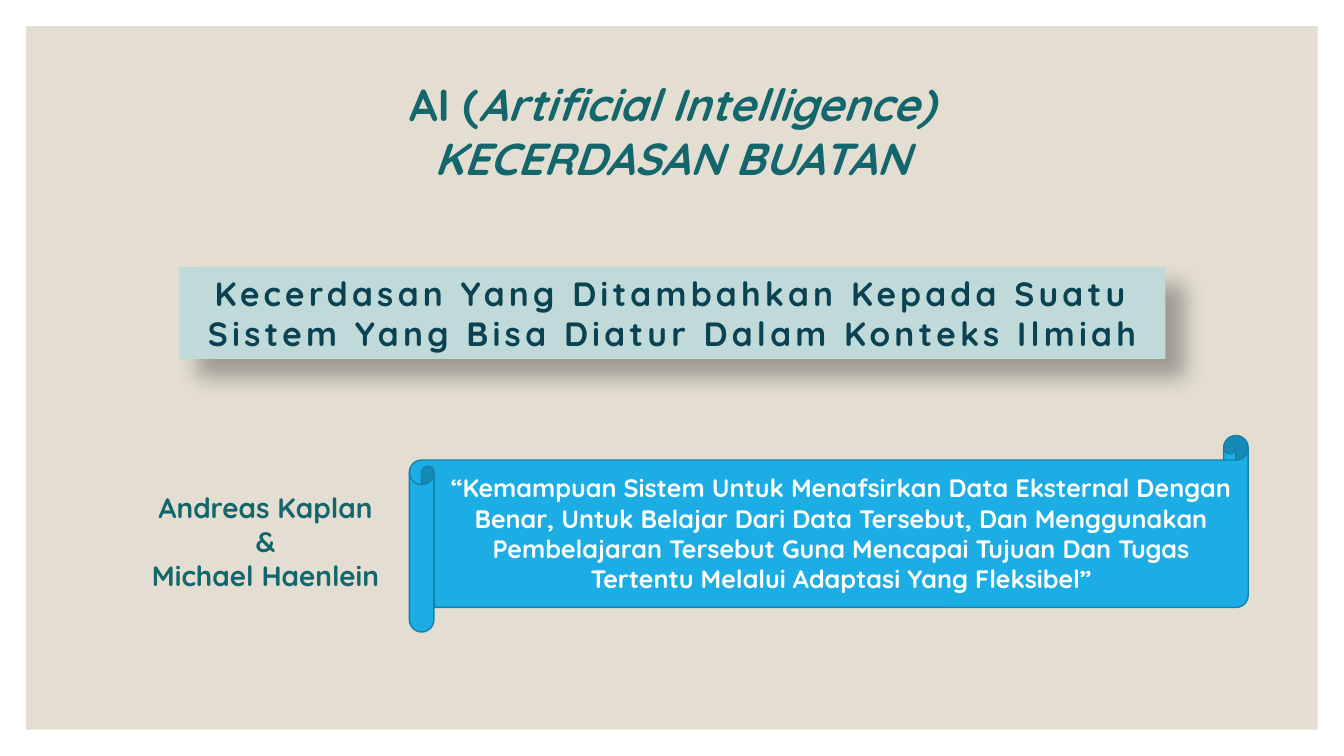
from dataclasses import dataclass

from lxml import etree
from pptx import Presentation
from pptx.dml.color import RGBColor
from pptx.enum.shapes import MSO_SHAPE
from pptx.enum.text import MSO_ANCHOR, PP_ALIGN
from pptx.oxml.ns import qn
from pptx.util import Inches, Pt

RECTANGLE = MSO_SHAPE.RECTANGLE
SCROLL = MSO_SHAPE.HORIZONTAL_SCROLL
TOP, MIDDLE = MSO_ANCHOR.TOP, MSO_ANCHOR.MIDDLE
CENTER = PP_ALIGN.CENTER
TITLE_ONLY_LAYOUT = 5
SLIDE_WIDTH, SLIDE_HEIGHT = 13.33, 7.5
MARGIN = 0.26


@dataclass(frozen=True)
class Theme:
    """Colours, font and type sizes of the slide."""
    font: str = "Quicksand"
    panel: str = "E3DED1"
    banner: str = "C0DAD9"
    banner_text: str = "0A4252"
    heading: str = "13676C"
    scroll: str = "1CADE4"
    scroll_line: str = "1580A9"
    white: str = "FFFFFF"
    title_size: int = 32
    banner_size: int = 24
    author_size: int = 20
    quote_size: int = 18


THEME = Theme()


def inches(box):
    """Convert a left, top, width, height box to lengths."""
    return [Inches(length) for length in box]


def write(shape, paragraphs, size, color, anchor=TOP, wrap=True):
    """Fill a shape with centred bold paragraphs, each a list of (text, italic) runs."""
    frame = shape.text_frame
    frame.word_wrap = wrap
    frame.vertical_anchor = anchor
    for index, runs in enumerate(paragraphs):
        paragraph = frame.add_paragraph() if index else frame.paragraphs[0]
        paragraph.alignment = CENTER
        font = paragraph.font
        font.name, font.size, font.bold = THEME.font, Pt(size), True
        font.color.rgb = RGBColor.from_string(color)
        for text, italic in runs:
            run = paragraph.add_run()
            run.text = text
            if italic:
                run.font.italic = True


def add_filled(shapes, kind, box, fill, line=None):
    """Add a flat preset shape with an optional one-point outline."""
    shape = shapes.add_shape(kind, *inches(box))
    shape.shadow.inherit = False
    shape.fill.solid()
    shape.fill.fore_color.rgb = RGBColor.from_string(fill)
    if line:
        shape.line.color.rgb = RGBColor.from_string(line)
        shape.line.width = Pt(1)
    else:
        shape.line.fill.background()
    return shape


def add_soft_shadow(shape):
    """Cast a blurred black shadow towards the lower right."""
    effects = shape.element.spPr.find(qn("a:effectLst"))
    shadow = etree.SubElement(
        effects, qn("a:outerShdw"), blurRad=str(Pt(15)), dist=str(Pt(18)),
        dir=str(45 * 60000), algn="tl", rotWithShape="0")
    color = etree.SubElement(shadow, qn("a:srgbClr"), val="000000")
    etree.SubElement(color, qn("a:alpha"), val="30000")


def add_panel(slide):
    """Lay the sand-coloured panel inside the white slide margin."""
    box = (MARGIN, MARGIN, SLIDE_WIDTH - 2 * MARGIN, SLIDE_HEIGHT - 2 * MARGIN)
    panel = add_filled(slide.shapes, RECTANGLE, box, THEME.panel)
    slide.shapes.title.element.addprevious(panel.element)


def add_title(slide, box):
    """Place the two-line title."""
    title = slide.shapes.title
    title.left, title.top, title.width, title.height = inches(box)
    write(title, [[("AI (", False), ("Artificial Intelligence)", True)],
                  [("KECERDASAN BUATAN", True)]],
          THEME.title_size, THEME.heading, wrap=False)


def add_banner(slide, box):
    """Place the shadowed definition banner with widely spaced letters."""
    banner = add_filled(slide.shapes, RECTANGLE, box, THEME.banner)
    add_soft_shadow(banner)
    text = "Kecerdasan Yang Ditambahkan Kepada Suatu Sistem Yang Bisa Diatur Dalam Konteks Ilmiah"
    write(banner, [[(text, False)]], THEME.banner_size, THEME.banner_text, MIDDLE)
    for run in banner.text_frame.paragraphs[0].runs:
        run.font._element.set("spc", "300")


def add_quotation(slide, box):
    """Place the authors at the left of the box and their scroll at the right."""
    left, top, width, height = box
    shapes = slide.shapes.add_group_shape().shapes
    authors = shapes.add_textbox(*inches((left, top + 0.5, 3.37, height - 0.5)))
    names = ["Andreas Kaplan", "&", "Michael Haenlein"]
    write(authors, [[(name, False)] for name in names], THEME.author_size, THEME.heading)

    scroll_width = 8.32
    scroll_left = left + width - scroll_width
    add_filled(shapes, SCROLL, (scroll_left, top, scroll_width, height),
               THEME.scroll, THEME.scroll_line)
    roll = height / 8
    quote = shapes.add_textbox(
        *inches((scroll_left + roll, top + 0.32, scroll_width - roll, height - 0.64)))
    text = ("“Kemampuan Sistem Untuk Menafsirkan Data Eksternal Dengan Benar, "
            "Untuk Belajar Dari Data Tersebut, Dan Menggunakan Pembelajaran Tersebut "
            "Guna Mencapai Tujuan Dan Tugas Tertentu Melalui Adaptasi Yang Fleksibel”")
    write(quote, [[(text, False)]], THEME.quote_size, THEME.white)


def main():
    """Build the slide and save it."""
    presentation = Presentation()
    presentation.slide_width = Inches(SLIDE_WIDTH)
    presentation.slide_height = Inches(SLIDE_HEIGHT)
    slide = presentation.slides.add_slide(presentation.slide_layouts[TITLE_ONLY_LAYOUT])
    add_panel(slide)
    add_title(slide, (3.88, 0.71, 5.57, 1.18))
    add_banner(slide, (1.78, 2.65, 9.78, 0.91))
    add_quotation(slide, (0.95, 4.32, 11.43, 1.95))
    presentation.save("out.pptx")


if __name__ == "__main__":
    main()
